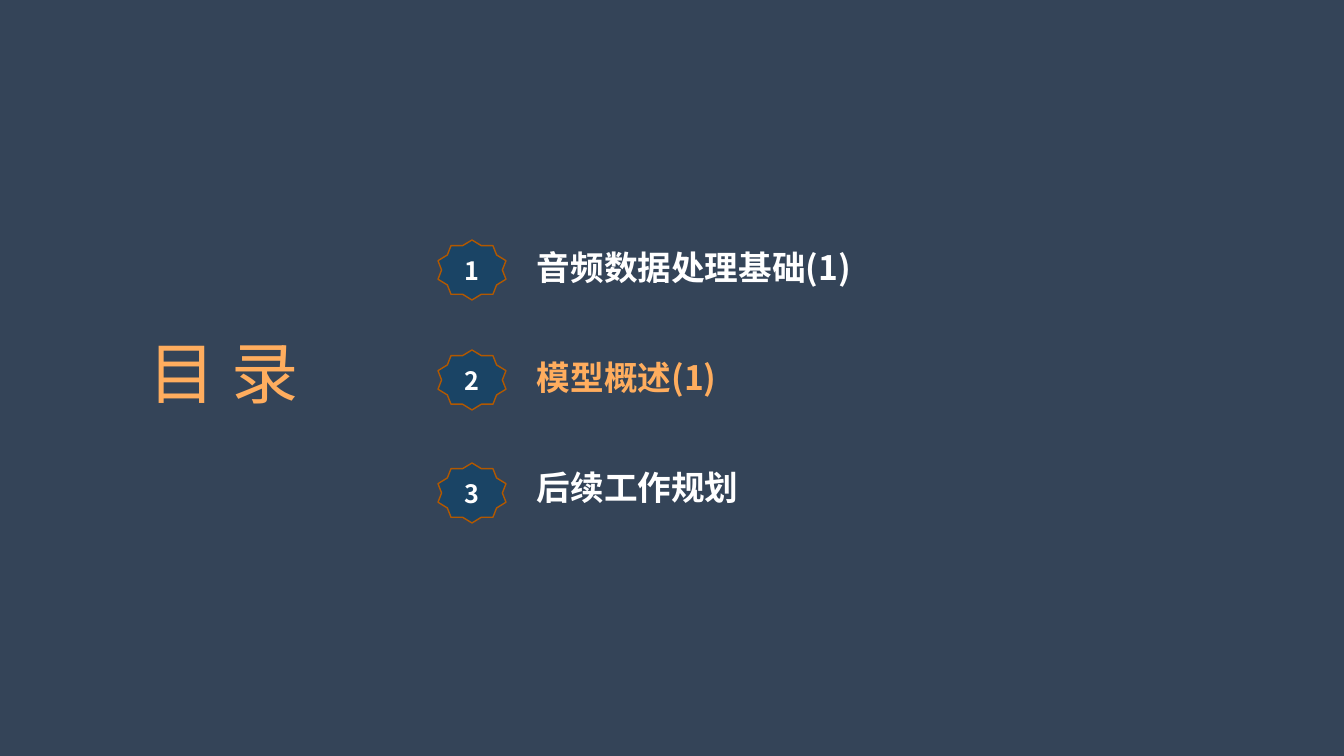
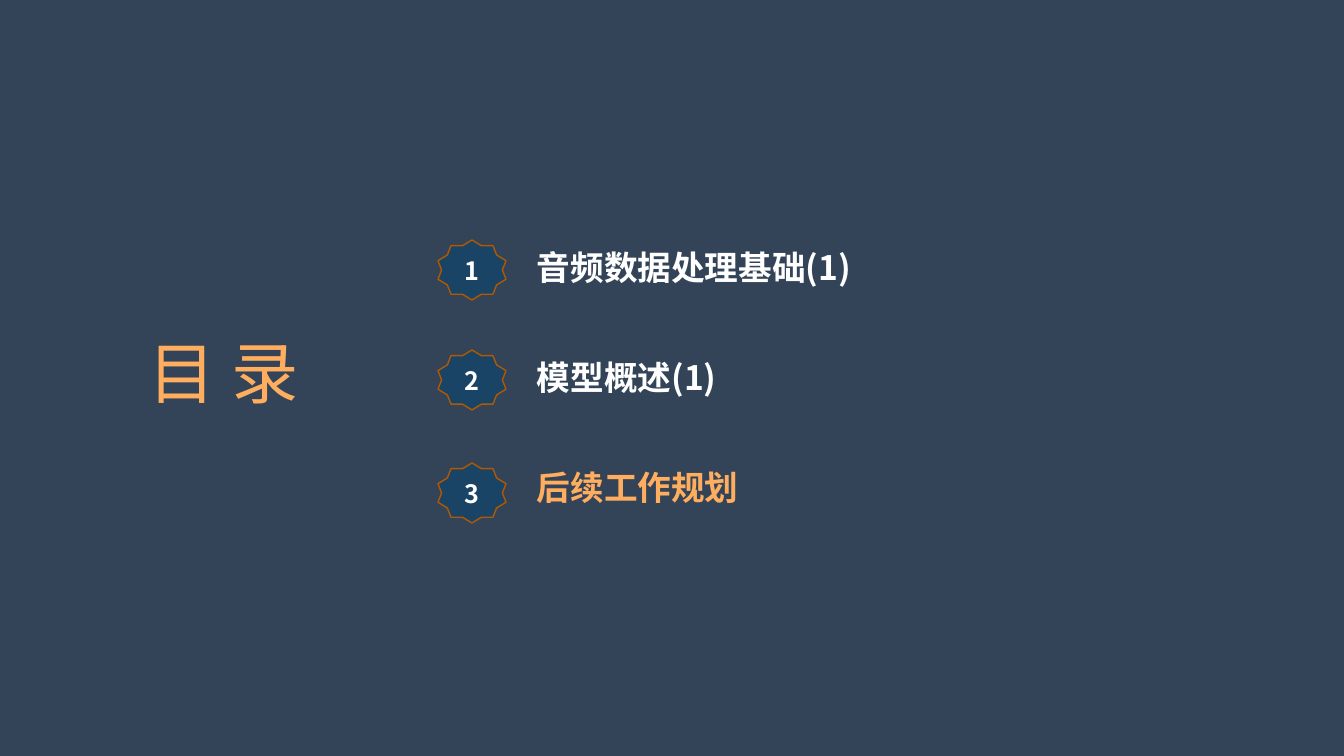
from dataclasses import dataclass

from pptx import Presentation
from pptx.dml.color import RGBColor
from pptx.enum.shapes import MSO_SHAPE
from pptx.enum.text import MSO_ANCHOR, MSO_AUTO_SIZE, PP_ALIGN
from pptx.oxml.ns import qn
from pptx.slide import Slide
from pptx.text.text import _Paragraph as Paragraph
from pptx.util import Emu, Pt

SLIDE_W, SLIDE_H = 1344, 756
EMU_PER_PX = 12192000 / SLIDE_W

NAVY = RGBColor(0x34, 0x44, 0x58)
BLUE = RGBColor(0x1A, 0x44, 0x65)
RUST = RGBColor(0xB2, 0x58, 0x00)
ORANGE = RGBColor(0xFF, 0xAD, 0x5E)
WHITE = RGBColor(0xFF, 0xFF, 0xFF)
FONT = "Noto Sans CJK SC"

TITLE_BOX = (99, 340, 249, 111)
BADGE_LEFT, BADGE_W, BADGE_H = 438, 68, 60
TOPIC_LEFT, TOPIC_W, TOPIC_H = 527, 518, 58
TOPIC_TOP, TOPIC_PITCH = 241, 110


@dataclass(frozen=True)
class Topic:
    text: str
    badge_top: int


TOPICS = (
    Topic("音频数据处理基础(1)", 240),
    Topic("模型概述(1)", 350),
    Topic("后续工作规划", 463),
)
CURRENT_TOPICS = (2, 3)


def px(length: int) -> Emu:
    return Emu(round(length * EMU_PER_PX))


def box(left: int, top: int, width: int, height: int) -> tuple[Emu, ...]:
    return px(left), px(top), px(width), px(height)


def add_run(paragraph: Paragraph, text: str, size: int, color: RGBColor, bold: bool) -> None:
    run = paragraph.add_run()
    run.text = text
    font = run.font
    font.name, font.size, font.bold = FONT, Pt(size), bold
    font.color.rgb = color
    east_asian = font._element.makeelement(qn("a:ea"), {"typeface": FONT})
    font._element.find(qn("a:latin")).addnext(east_asian)


def add_title(slide: Slide) -> None:
    title = slide.shapes.title
    title.left, title.top, title.width, title.height = box(*TITLE_BOX)
    frame = title.text_frame
    frame.auto_size = MSO_AUTO_SIZE.NONE
    frame.vertical_anchor = MSO_ANCHOR.TOP
    frame.margin_top = 0
    paragraph = frame.paragraphs[0]
    paragraph.alignment = PP_ALIGN.CENTER
    paragraph.line_spacing = 0.9
    add_run(paragraph, "目 录", 48, ORANGE, False)


def add_badge(slide: Slide, number: int, top: int) -> None:
    badge = slide.shapes.add_shape(
        MSO_SHAPE.STAR_10_POINT, *box(BADGE_LEFT, top, BADGE_W, BADGE_H)
    )
    badge.shadow.inherit = False
    badge.fill.solid()
    badge.fill.fore_color.rgb = BLUE
    badge.line.color.rgb = RUST
    badge.line.width = Pt(1)
    badge.text_frame.vertical_anchor = MSO_ANCHOR.MIDDLE
    paragraph = badge.text_frame.paragraphs[0]
    paragraph.alignment = PP_ALIGN.CENTER
    add_run(paragraph, str(number), 18, WHITE, True)


def add_topic(slide: Slide, number: int, topic: Topic, color: RGBColor) -> None:
    top = TOPIC_TOP + (number - 1) * TOPIC_PITCH
    label = slide.shapes.add_textbox(*box(TOPIC_LEFT, top, TOPIC_W, TOPIC_H))
    frame = label.text_frame
    frame.word_wrap = True
    frame.vertical_anchor = MSO_ANCHOR.MIDDLE
    paragraph = frame.paragraphs[0]
    paragraph.line_spacing = 0.9
    paragraph.space_before = Pt(10)
    add_run(paragraph, topic.text, 24, color, True)
    add_badge(slide, number, topic.badge_top)


def main() -> None:
    prs = Presentation()
    prs.slide_width, prs.slide_height = px(SLIDE_W), px(SLIDE_H)
    background = prs.slide_master.background.fill
    background.solid()
    background.fore_color.rgb = NAVY
    title_only = prs.slide_layouts.get_by_name("Title Only")

    for current in CURRENT_TOPICS:
        slide = prs.slides.add_slide(title_only)
        add_title(slide)
        for number, topic in enumerate(TOPICS, start=1):
            add_topic(slide, number, topic, ORANGE if number == current else WHITE)

    prs.save("out.pptx")


if __name__ == "__main__":
    main()
